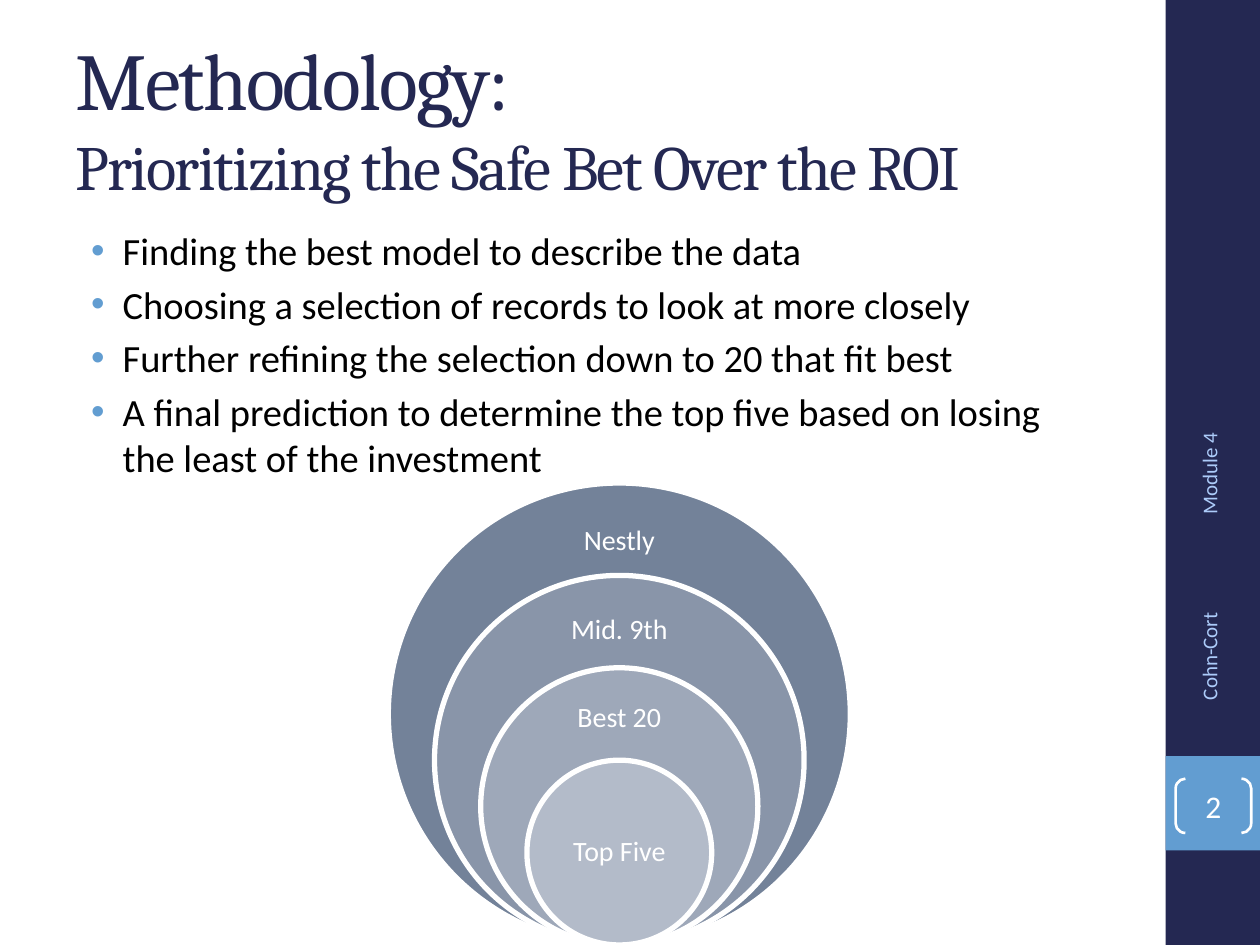
from lxml import etree
from pptx import Presentation
from pptx.dml.color import RGBColor
from pptx.enum.shapes import MSO_SHAPE as Preset
from pptx.enum.text import MSO_ANCHOR as Anchor, PP_ALIGN as Align
from pptx.oxml.ns import qn
from pptx.util import Pt

COLORS = {
    "navy": "242852", "blue": "629DD1", "pale": "ACCBF9",
    "white": "FFFFFF", "black": "000000",
}


def add_shape(shapes, preset, box, fill=None, line=None, weight=0):
    shape = shapes.add_shape(preset, *map(Pt, box))
    shape.shadow.inherit = False
    if fill:
        shape.fill.solid()
        shape.fill.fore_color.rgb = RGBColor.from_string(fill)
    else:
        shape.fill.background()
    if line:
        shape.line.color.rgb = RGBColor.from_string(line)
        shape.line.width = Pt(weight)
    else:
        shape.line.fill.background()
    return shape


def write(shape, text, size, color, font="Calibri", align=Align.LEFT, anchor=Anchor.MIDDLE, inset=None):
    frame = shape.text_frame
    frame.text = text
    frame.word_wrap = True
    frame.vertical_anchor = anchor
    if inset is not None:
        frame.margin_left = frame.margin_right = Pt(inset)
        frame.margin_top = frame.margin_bottom = Pt(inset)
    for paragraph in frame.paragraphs:
        paragraph.alignment = align
        for run in paragraph.runs:
            run.font.name = font
            run.font.size = Pt(size)
            run.font.color.rgb = RGBColor.from_string(color)
    return frame


presentation = Presentation()
presentation.slide_width, presentation.slide_height = Pt(720), Pt(540)
slide = presentation.slides.add_slide(presentation.slide_layouts[6])
shapes = slide.shapes

add_shape(shapes, Preset.RECTANGLE, (666, 0, 54, 540), COLORS["navy"])
add_shape(shapes, Preset.RECTANGLE, (666, 432, 54, 54), COLORS["blue"])

title = shapes.add_textbox(Pt(36), Pt(21.6), Pt(600), Pt(90))
frame = write(title, "Methodology:\vPrioritizing the Safe Bet Over the ROI", 36, COLORS["navy"], "Cambria")
frame.paragraphs[0].runs[0].font.size = Pt(46)
for run in frame.paragraphs[0].runs:
    run.font._element.set("spc", "-100")

points = [
    "Finding the best model to describe the data",
    "Choosing a selection of records to look at more closely",
    "Further refining the selection down to 20 that fit best",
    "A final prediction to determine the top five based on losing the least of the investment",
]
body = shapes.add_textbox(Pt(36), Pt(126), Pt(600), Pt(378))
frame = write(body, "\n".join(points), 22, COLORS["black"], anchor=Anchor.TOP)
for paragraph in frame.paragraphs:
    paragraph.space_before = Pt(4.4)
    properties = paragraph._p.get_or_add_pPr()
    properties.set("marL", str(Pt(27)))
    properties.set("indent", str(Pt(-18)))
    bullet_color = etree.SubElement(properties, qn("a:buClr"))
    etree.SubElement(bullet_color, qn("a:srgbClr"), val=COLORS["blue"])
    etree.SubElement(properties, qn("a:buFont"), typeface="Arial")
    etree.SubElement(properties, qn("a:buChar"), char="•")

center, diameter = 353.9, 264
rings = [
    ("Nestly", "738299", 289.4, 39.6),
    ("Mid. 9th", "8995A9", 341.3, 38.2),
    ("Best 20", "9EA8B9", 393.1, 35.3),
    ("Top Five", "B3BBC9", 460.8, 52.6),
]
diagram = shapes.add_group_shape().shapes
for index, (text, fill, top, height) in enumerate(rings):
    size = diameter * (1 - 0.2 * index)
    add_shape(diagram, Preset.OVAL, (center - size / 2, 540 - size, size, size), fill, COLORS["white"], 3)
    label = diagram.add_textbox(Pt(center - 37.2), Pt(top), Pt(74.4), Pt(height))
    frame = write(label, text, 16, COLORS["white"], align=Align.CENTER, inset=8.6)
    frame.paragraphs[0].line_spacing = 0.9
    frame.paragraphs[0].space_after = Pt(5.6)

footer = shapes.add_textbox(Pt(597.6), Pt(319), Pt(186.5), Pt(28.8))
footer.rotation = 270
frame = write(footer, "Cohn-Cort\tModule 4", 12, COLORS["pale"])
frame.margin_left, frame.margin_right = Pt(26.6), Pt(0)
tabs = etree.SubElement(frame.paragraphs[0]._p.get_or_add_pPr(), qn("a:tabLst"))
etree.SubElement(tabs, qn("a:tab"), pos=str(Pt(106.2)), algn="l")

number = add_shape(shapes, Preset.DOUBLE_BRACKET, (671.8, 445, 43.2, 31), line=COLORS["white"], weight=1.5)
number.adjustments[0] = 0.18
write(number, "2", 18, COLORS["white"], align=Align.CENTER, inset=0)

presentation.save("out.pptx")
